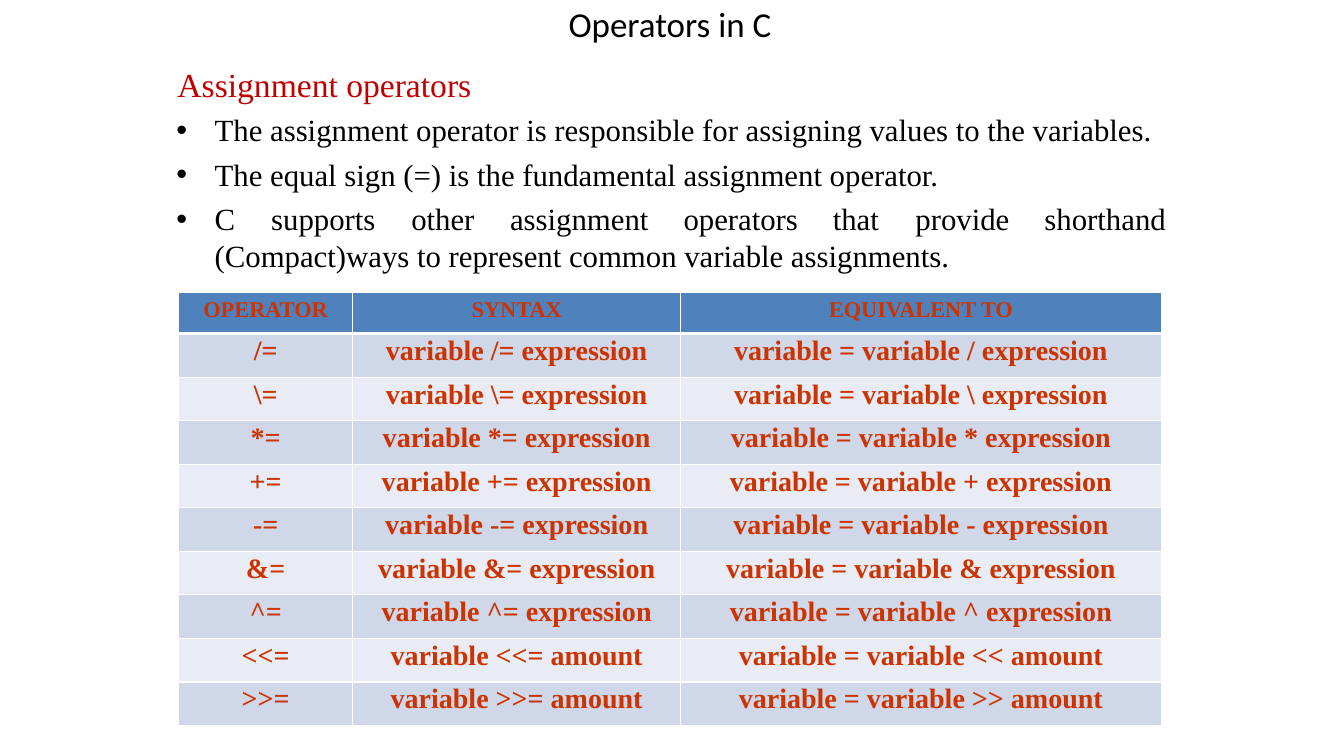
from dataclasses import dataclass

from lxml.etree import SubElement
from pptx import Presentation
from pptx.dml.color import RGBColor
from pptx.enum.text import MSO_ANCHOR, PP_ALIGN
from pptx.oxml.ns import qn
from pptx.util import Inches, Pt

TITLE = "Operators in C"
HEADING = "Assignment operators"
BULLETS = [
    "The assignment operator is responsible for assigning values to the variables.",
    "The equal sign (=) is the fundamental assignment operator.",
    "C\tsupports\tother\tassignment\toperators\tthat\tprovide\tshorthand",
]
CONTINUATION = "(Compact)ways to represent common variable assignments."
WORD_STOPS = [0.94, 2.33, 3.31, 5.03, 6.51, 7.33, 8.61]
HEADERS = ("OPERATOR", "SYNTAX", "EQUIVALENT TO")
OPERATORS = [
    ("/", "expression"),
    ("\\", "expression"),
    ("*", "expression"),
    ("+", "expression"),
    ("-", "expression"),
    ("&", "expression"),
    ("^", "expression"),
    ("<<", "amount"),
    (">>", "amount"),
]
COLUMN_WIDTHS = (1.73, 3.25, 4.77)
TABLE_HEIGHT = 4.3
HEADER_HEIGHT = 0.41
HANGING = 0.38


@dataclass(frozen=True)
class Theme:
    title_font: str = "Calibri"
    body_font: str = "Times New Roman"
    black: str = "000000"
    heading: str = "C00000"
    table_text: str = "CC3300"
    header_fill: str = "4F81BC"
    band_fills: tuple = ("D0D7E8", "E9ECF4")
    border: str = "FFFFFF"
    title_size: int = 25
    heading_size: int = 24
    bullet_size: int = 22
    header_size: int = 16
    cell_size: int = 20


THEME = Theme()


def add_box(page, left, top, width, height, inset_top):
    frame = page.shapes.add_textbox(
        Inches(left), Inches(top), Inches(width), Inches(height)
    ).text_frame
    frame.word_wrap = True
    frame.margin_left = frame.margin_right = frame.margin_bottom = 0
    frame.margin_top = Inches(inset_top)
    return frame


def write(para, text, size, color, font=THEME.body_font, bold=False):
    span = para.add_run()
    span.text = text
    span.font.name = font
    span.font.size = Pt(size)
    span.font.bold = bold
    span.font.color.rgb = RGBColor.from_string(color)


def indent(para, margin, first_line=0.0):
    properties = para._p.get_or_add_pPr()
    properties.set("marL", str(Inches(margin)))
    properties.set("indent", str(Inches(first_line)))
    return properties


def add_bullet(para, stops):
    properties = indent(para, HANGING, -HANGING)
    SubElement(properties, qn("a:buFont"), typeface="Arial")
    SubElement(properties, qn("a:buChar"), char="•")
    if stops:
        tabs = SubElement(properties, qn("a:tabLst"))
        for stop in stops:
            SubElement(tabs, qn("a:tab"), pos=str(Inches(stop)), algn="l")


def set_borders(cell, top, bottom):
    properties = cell._tc.get_or_add_tcPr()
    for side, points in (("L", 1), ("R", 1), ("T", top), ("B", bottom)):
        line = SubElement(properties, qn(f"a:ln{side}"), w=str(Pt(points)))
        fill = SubElement(line, qn("a:solidFill"))
        SubElement(fill, qn("a:srgbClr"), val=THEME.border)


def add_title(page):
    frame = add_box(page, 5.63, 0.01, 2.07, 0.44, 0.01)
    frame.vertical_anchor = MSO_ANCHOR.MIDDLE
    para = frame.paragraphs[0]
    indent(para, 0.01)
    write(para, TITLE, THEME.title_size, THEME.black, THEME.title_font)


def add_explanation(page):
    frame = add_box(page, 1.75, 0.53, 9.83, 2.2, 0.1)
    para = frame.paragraphs[0]
    indent(para, 0.01)
    write(para, HEADING, THEME.heading_size, THEME.heading)
    for text in BULLETS:
        para = frame.add_paragraph()
        add_bullet(para, WORD_STOPS if "\t" in text else [])
        para.space_before = Pt(5.3)
        write(para, text, THEME.bullet_size, THEME.black)
    para = frame.add_paragraph()
    indent(para, HANGING)
    write(para, CONTINUATION, THEME.bullet_size, THEME.black)


def add_operator_table(page):
    rows = [HEADERS] + [
        (f"{sign}=", f"variable {sign}= {operand}", f"variable = variable {sign} {operand}")
        for sign, operand in OPERATORS
    ]
    table = page.shapes.add_table(
        len(rows), len(HEADERS), Inches(1.77), Inches(2.9),
        Inches(sum(COLUMN_WIDTHS)), Inches(TABLE_HEIGHT),
    ).table
    table.horz_banding = False
    for column, width in zip(table.columns, COLUMN_WIDTHS):
        column.width = Inches(width)
    row_height = (TABLE_HEIGHT - HEADER_HEIGHT) / len(OPERATORS)
    for index, texts in enumerate(rows):
        header = index == 0
        table.rows[index].height = Inches(HEADER_HEIGHT if header else row_height)
        fill = THEME.header_fill if header else THEME.band_fills[(index - 1) % 2]
        size = THEME.header_size if header else THEME.cell_size
        for cell, text in zip(table.rows[index].cells, texts):
            set_borders(cell, 3 if index == 1 else 1, 3 if header else 1)
            cell.fill.solid()
            cell.fill.fore_color.rgb = RGBColor.from_string(fill)
            cell.margin_left = cell.margin_right = cell.margin_bottom = 0
            cell.margin_top = Inches(0.05 if header else 0.02)
            para = cell.text_frame.paragraphs[0]
            para.alignment = PP_ALIGN.CENTER
            write(para, text, size, THEME.table_text, bold=True)


def main():
    deck = Presentation()
    deck.slide_width, deck.slide_height = Inches(13.33), Inches(7.5)
    page = deck.slides.add_slide(deck.slide_layouts[6])
    add_title(page)
    add_explanation(page)
    add_operator_table(page)
    deck.save("out.pptx")


if __name__ == "__main__":
    main()
